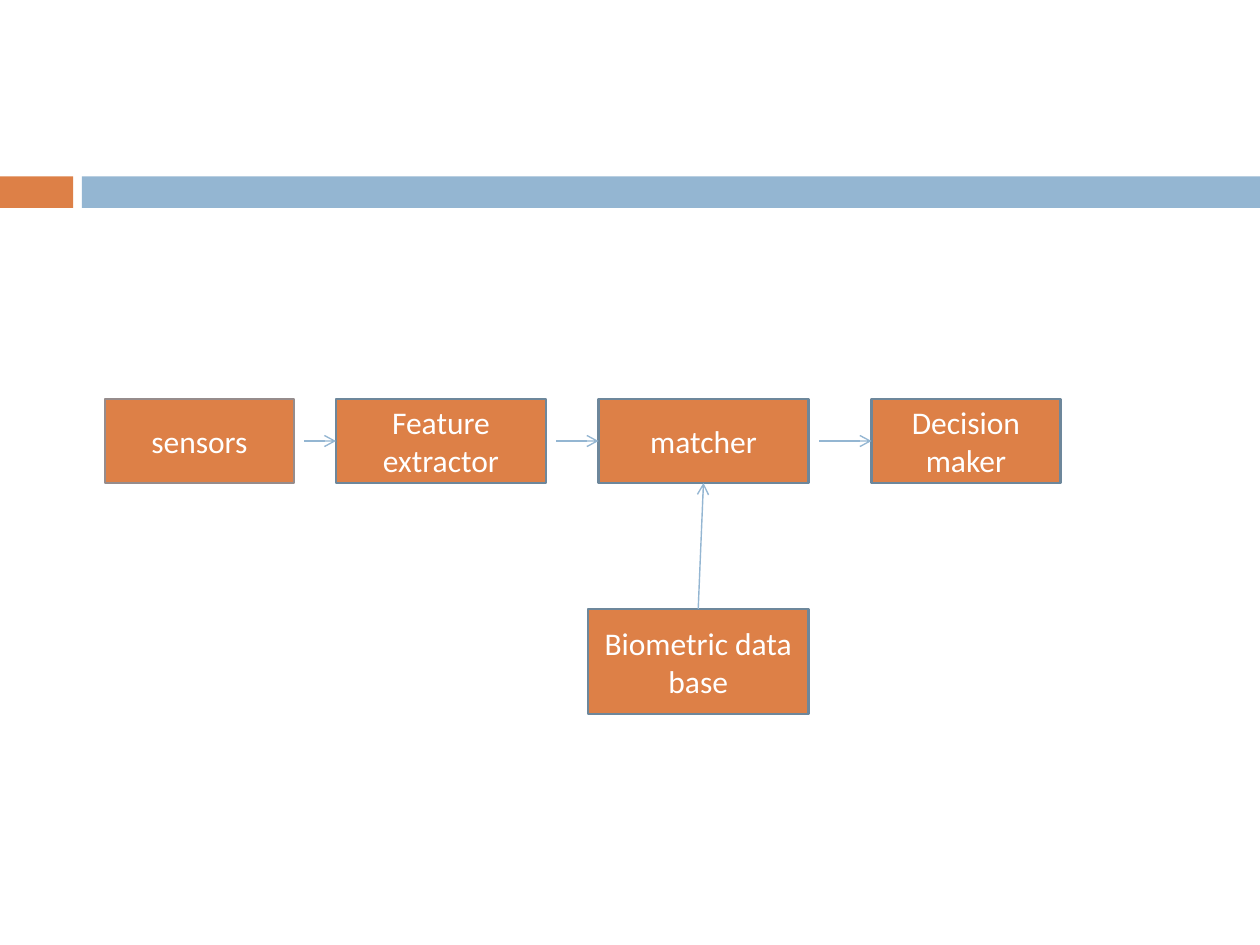
from lxml.etree import SubElement
from pptx import Presentation
from pptx.dml.color import RGBColor
from pptx.enum.shapes import MSO_CONNECTOR, MSO_SHAPE
from pptx.enum.text import MSO_ANCHOR, PP_ALIGN
from pptx.oxml.ns import qn
from pptx.util import Inches, Pt

ORANGE, BLUE, WHITE = "DD8047", "94B6D2", "FFFFFF"
GREY, SLATE = "968C8C", "6D879B"
FONT = "Calibri"
UNIT = Inches(1) / 12  # grid of twelve columns and rows to the inch
TOP, BOTTOM, LEFT = 0, 2, 1  # connection sites

# Boxes: text, column, row, columns wide, rows high, outline
STAGES = [
    ("sensors", 10, 38, 18, 8, GREY),
    ("Feature extractor", 32, 38, 20, 8, SLATE),
    ("matcher", 57, 38, 20, 8, SLATE),
    ("Decision maker", 83, 38, 18, 8, SLATE),
]
DATABASE = ("Biometric data base", 56, 58, 21, 10, SLATE)

# Header band: left, width, colour
BANDS = [(0, 0.58, ORANGE), (0.65, 9.35, BLUE)]


def rgb(value):
    return RGBColor.from_string(value)


def grid(n):
    return round(n * UNIT)


def add_rect(x, y, w, h, fill):
    sp = slide.shapes.add_shape(MSO_SHAPE.RECTANGLE, x, y, w, h)
    sp.shadow.inherit = False
    sp.fill.solid()
    sp.fill.fore_color.rgb = rgb(fill)
    sp.line.fill.background()
    return sp


def add_box(text, col, row, cols, rows, outline):
    sp = add_rect(*map(grid, (col, row, cols, rows)), ORANGE)
    sp.line.color.rgb = rgb(outline)
    sp.line.width = Pt(1.5)
    tf = sp.text_frame
    tf.word_wrap = True
    tf.vertical_anchor = MSO_ANCHOR.MIDDLE
    p = tf.paragraphs[0]
    p.alignment = PP_ALIGN.CENTER
    r = p.add_run()
    r.text = text
    r.font.name, r.font.size = FONT, Pt(18)
    r.font.color.rgb = rgb(WHITE)
    return sp


def add_arrow(x, y, target, site):
    cx = slide.shapes.add_connector(MSO_CONNECTOR.STRAIGHT, x, y, x, y)
    cx.end_connect(target, site)
    cx.line.color.rgb = rgb(BLUE)
    cx.line.width = Pt(0.79)
    SubElement(cx.line._get_or_add_ln(), qn("a:tailEnd"), type="arrow")
    SubElement(cx._element.spPr, qn("a:effectLst"))
    return cx


prs = Presentation()
prs.slide_width, prs.slide_height = Inches(10), Inches(7.5)
slide = prs.slides.add_slide(prs.slide_layouts[6])

# Header band
for left, width, color in BANDS:
    add_rect(Inches(left), Inches(1.4), Inches(width), Inches(0.25), color)

# Boxes
stages = [add_box(*stage) for stage in STAGES]
database = add_box(*DATABASE)

# Arrows between stages start one grid unit after the box
for a, b in zip(stages, stages[1:]):
    add_arrow(a.left + a.width + grid(1), a.top + a.height // 2, b, LEFT)

# Arrow from the database up to the matcher
link = add_arrow(database.left + database.width // 2, database.top, stages[2], BOTTOM)
link.begin_connect(database, TOP)

prs.save("out.pptx")
